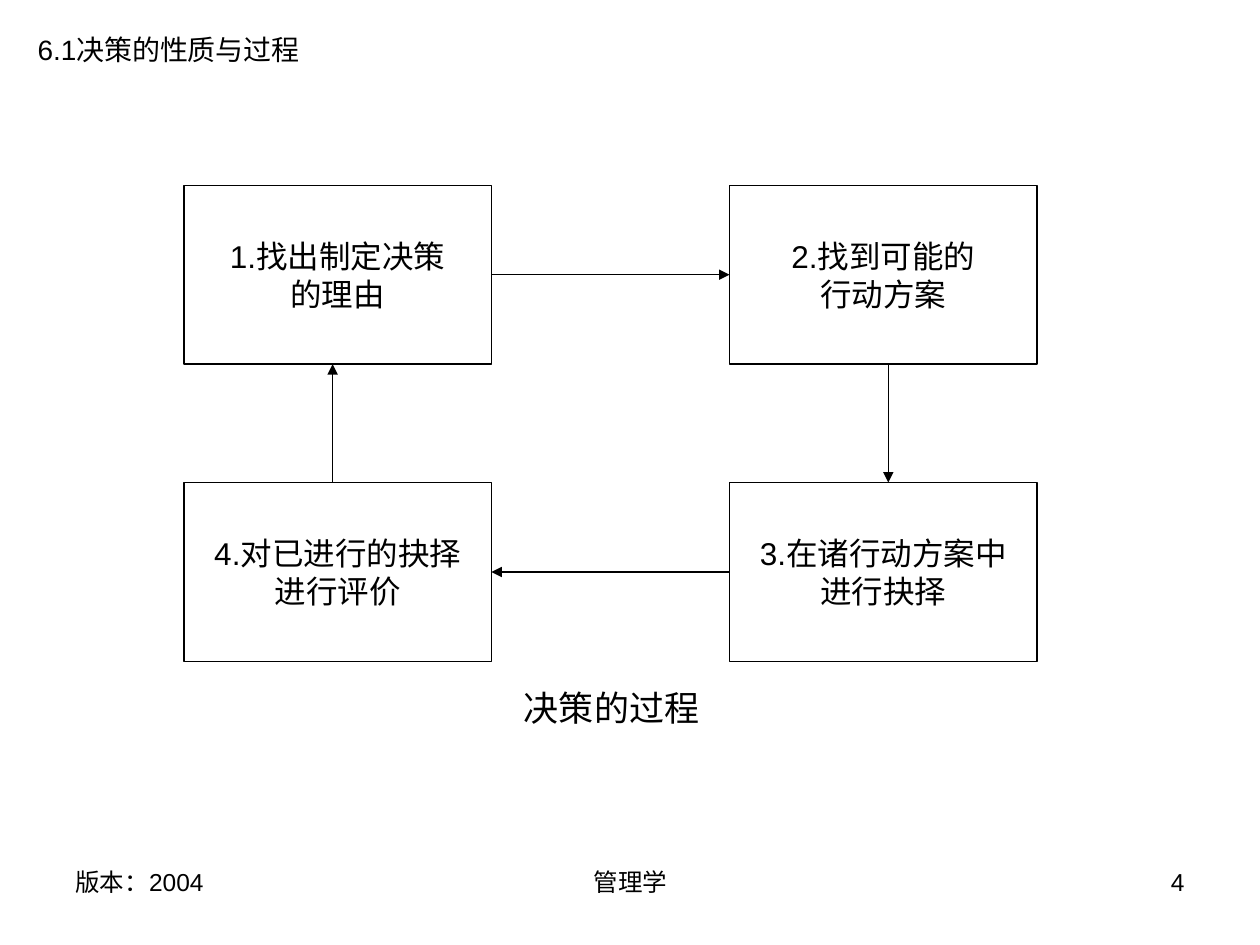
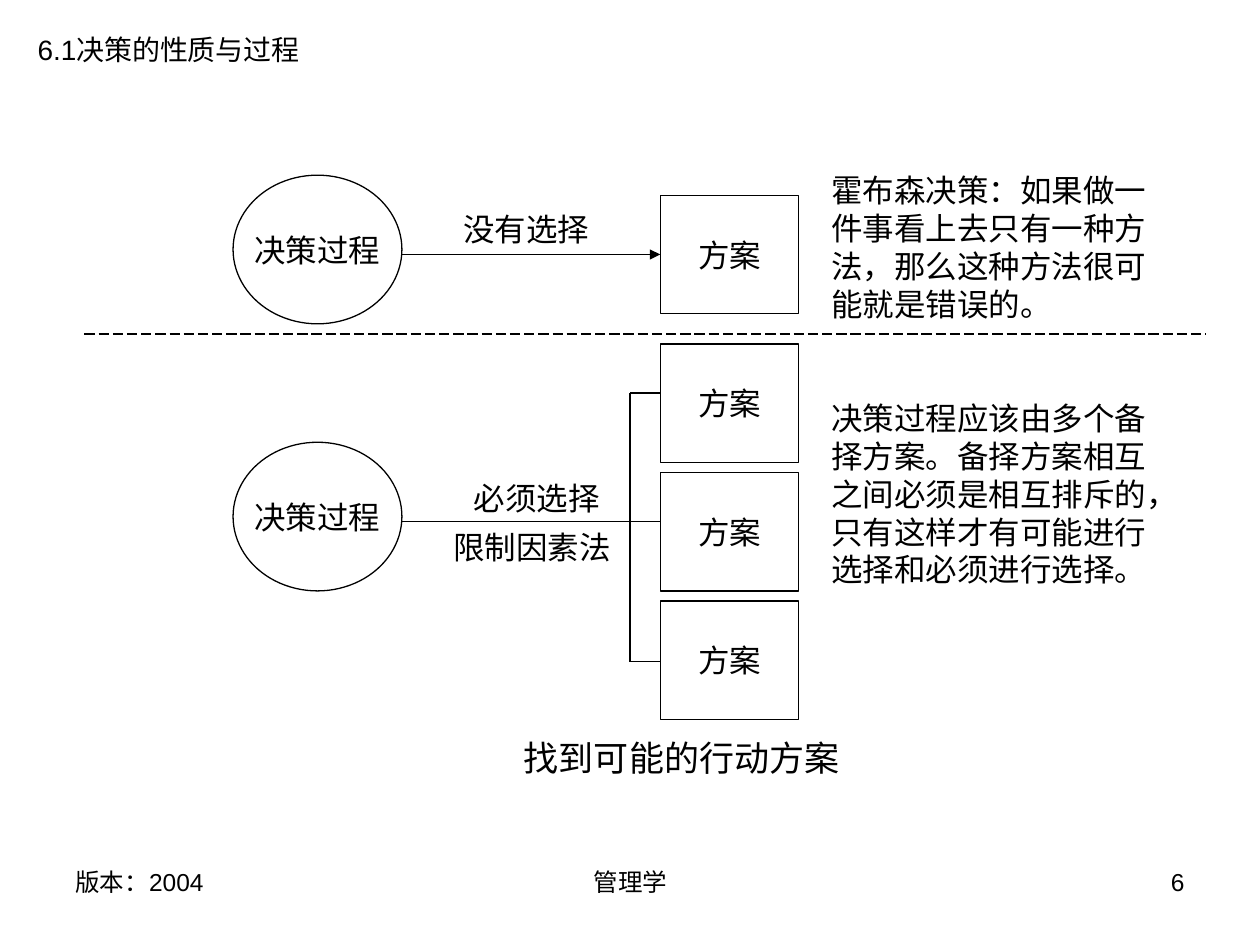
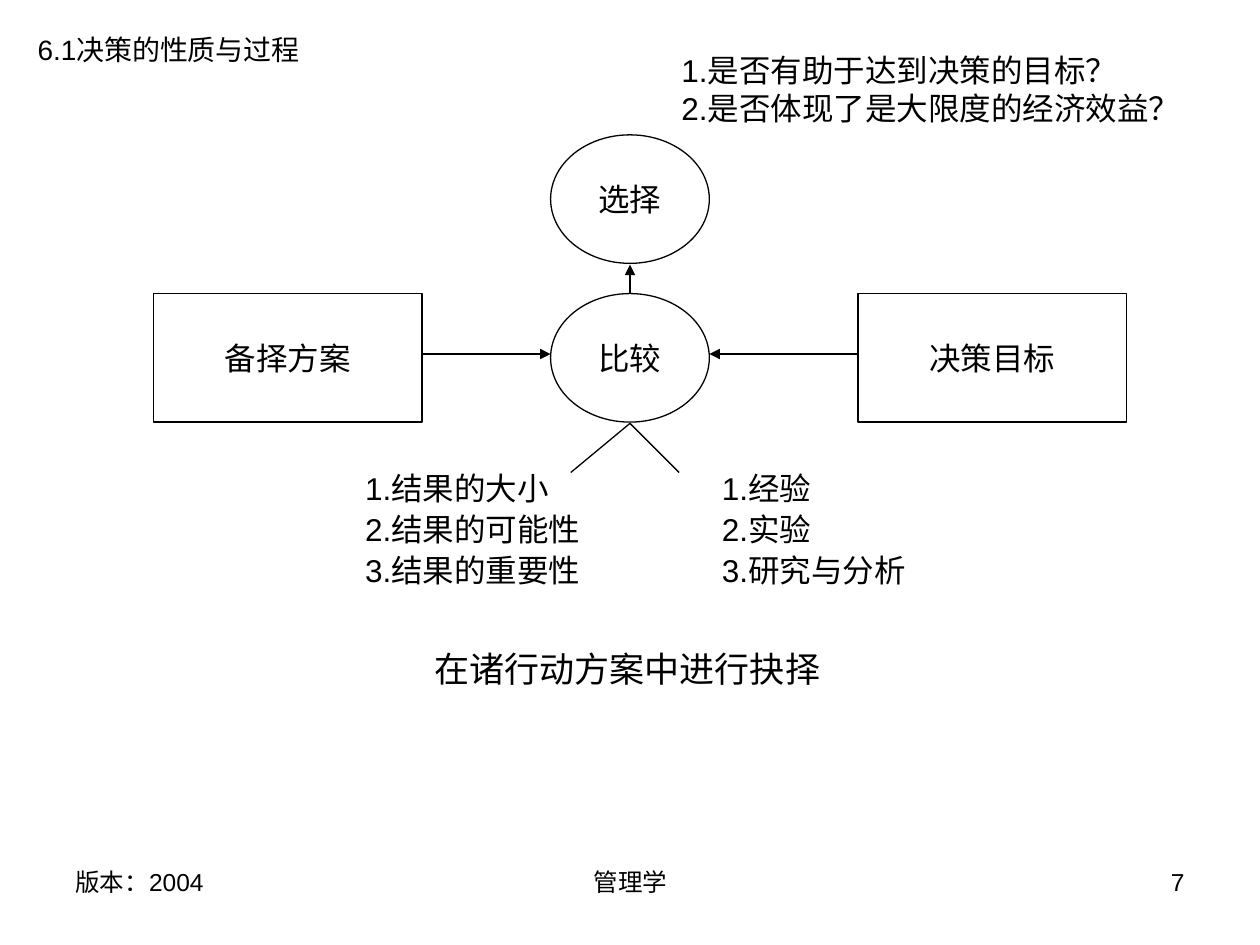
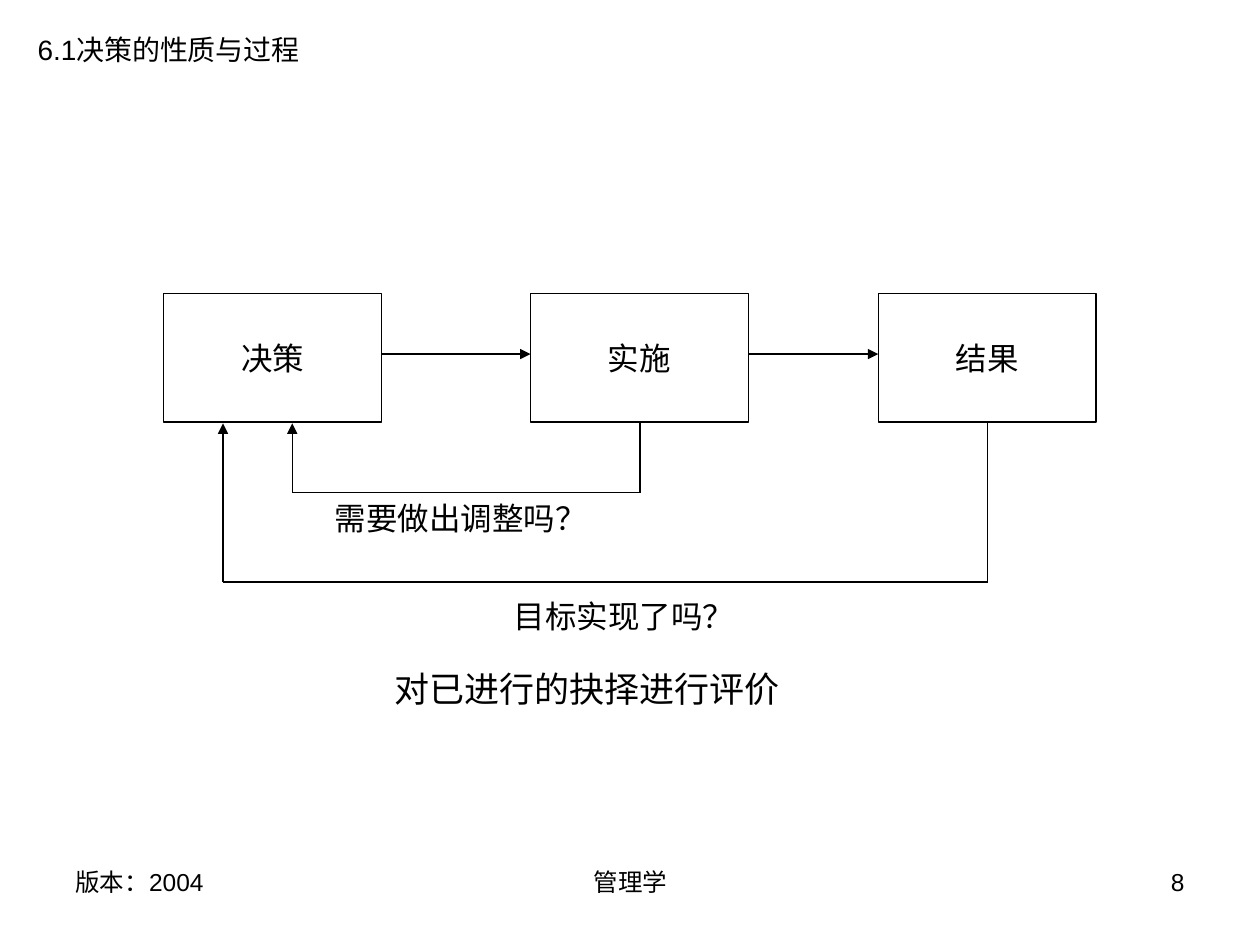
"""Four slides on the nature and process of decision making."""
from lxml import etree
from pptx import Presentation
from pptx import util as u
from pptx.dml.color import RGBColor
from pptx.enum import dml, shapes, text
from pptx.oxml import ns

BLACK = RGBColor(0, 0, 0)
WHITE = RGBColor(255, 255, 255)
FONT = "Arial"
CELL = u.Inches(0.1)  # the grid has 100 columns and 75 rows
LINE_WIDTH = u.Pt(0.75)
BODY, CAPTION, HEADING, FOOTER = 18, 20, 16, 14
RECT, ELLIPSE = shapes.MSO_SHAPE.RECTANGLE, shapes.MSO_SHAPE.OVAL
LEFT, CENTER, RIGHT = text.PP_ALIGN.LEFT, text.PP_ALIGN.CENTER, text.PP_ALIGN.RIGHT


def grid(*cells):
    """Turn columns and rows into lengths."""
    return [round(cell * CELL) for cell in cells]


def write(frame, words, size=BODY, align=LEFT, gap=0):
    """Fill a text frame, one paragraph for each line of words."""
    for index, line in enumerate(words.split("\n")):
        para = frame.add_paragraph() if index else frame.paragraphs[0]
        para.alignment = align
        para.space_before = u.Pt(gap if index else 0)
        span = para.add_run()
        span.text = line
        span.font.name = FONT
        span.font.size = u.Pt(size)
        span.font.color.rgb = BLACK


def label(page, place, words, grow=True, **style):
    """Add a wrapping text box."""
    frame = page.shapes.add_textbox(*grid(*place)).text_frame
    frame.word_wrap = True
    if grow:
        frame.auto_size = text.MSO_AUTO_SIZE.SHAPE_TO_FIT_TEXT
    write(frame, words, **style)


def node(page, place, words, kind=RECT):
    """Add an outlined shape with centred text."""
    box = page.shapes.add_shape(kind, *grid(*place))
    box.shadow.inherit = False
    box.fill.solid()
    box.fill.fore_color.rgb = WHITE
    box.line.color.rgb = BLACK
    box.line.width = LINE_WIDTH
    box.text_frame.word_wrap = False
    box.text_frame.vertical_anchor = text.MSO_ANCHOR.MIDDLE
    write(box.text_frame, words, align=CENTER)


def route(page, *points, arrow=False, dash=None):
    """Join points by straight lines; an arrow ends the last one."""
    for start, end in zip(points, points[1:]):
        line = page.shapes.add_connector(
            shapes.MSO_CONNECTOR.STRAIGHT, *grid(*start, *end))
        line.line.color.rgb = BLACK
        line.line.width = LINE_WIDTH
        if dash:
            line.line.dash_style = dash
        if arrow and end == points[-1]:
            tip = etree.SubElement(line.line._get_or_add_ln(), ns.qn("a:tailEnd"))
            tip.set("type", "triangle")
        etree.SubElement(line._element.spPr, ns.qn("a:effectLst"))


def new_page(deck, number):
    """Add a blank slide with the shared heading and footers."""
    page = deck.slides.add_slide(deck.slide_layouts[6])
    footers = [(5, 23.3, "版本：2004", LEFT),
               (34.2, 31.7, "管理学", CENTER),
               (71.7, 23.3, str(number), RIGHT)]
    for left, width, words, align in footers:
        label(page, (left, 68.3, width, 5.2), words, grow=False,
              size=FOOTER, align=align)
    label(page, (2, 2.1, 23.6, 3.7), "6.1决策的性质与过程", size=HEADING)
    return page


def caption(page, left, top, width, words):
    """Name the diagram below it."""
    label(page, (left, top, width, 4.3), words, size=CAPTION)


def process_cycle(deck):
    """Draw the four steps as a clockwise cycle."""
    page = new_page(deck, 4)
    caption(page, 40.6, 54, 16.5, "决策的过程")
    width, height = 24.4, 14.2
    west, east, north, south = 14.6, 57.9, 14.7, 38.3
    steps = [(west, north, "1.找出制定决策\n的理由"),
             (east, north, "2.找到可能的\n行动方案"),
             (east, south, "3.在诸行动方案中\n进行抉择"),
             (west, south, "4.对已进行的抉择\n进行评价")]
    for left, top, words in steps:
        node(page, (left, top, width, height), words)
    inner, upper = west + width, north + height
    for start, end in [((inner, 21.8), (east, 21.8)),
                       ((70.5, upper), (70.5, south)),
                       ((east, 45.4), (inner, 45.4)),
                       ((26.4, south), (26.4, upper))]:
        route(page, start, end, arrow=True)


def options(deck):
    """Contrast a single option with several."""
    page = new_page(deck, 6)
    caption(page, 40.6, 58, 27.6, "找到可能的行动方案")
    left, height, first, step = 52.4, 9.4, 27.3, 10.2
    for top in (15.5, *(first + row * step for row in range(3))):
        node(page, (left, top, 11, height), "方案")
    for top in (13.9, 35.1):
        node(page, (18.5, top, 13.4, 11.8), "决策过程", kind=ELLIPSE)
    route(page, (31.9, 20.2), (left, 20.2), arrow=True)
    route(page, (31.9, 41.4), (left, 41.4))
    route(page, (left, 31.2), (50, 31.2), (50, 52.5), (left, 52.5))
    route(page, (6.7, 26.5), (95.7, 26.5), dash=dml.MSO_LINE.LONG_DASH)
    label(page, (35.8, 16.2, 12.6, 4), "没有选择")
    label(page, (36.6, 37.5, 14.2, 4), "必须选择")
    label(page, (35, 41.4, 15, 4), "限制因素法")
    label(page, (65, 13.1, 29.1, 13),
          "霍布森决策：如果做一件事看上去只有一种方法，那么这种方法很可能就是错误的。")
    label(page, (65, 31.2, 29.1, 19),
          "决策过程应该由多个备择方案。备择方案相互之间必须是相互排斥的，"
          "只有这样才有可能进行选择和必须进行选择。")


def choice(deck):
    """Show how comparing options with goals leads to a choice."""
    page = new_page(deck, 7)
    caption(page, 33.5, 50.9, 33.9, "在诸行动方案中进行抉择")
    top, height = 23.3, 10.2
    for left, words in [(12.2, "备择方案"), (68.1, "决策目标")]:
        node(page, (left, top, 21.3, height), words)
    for row, words in [(top, "比较"), (10.7, "选择")]:
        node(page, (43.7, row, 12.6, height), words, kind=ELLIPSE)
    for start, end in [((33.5, 28.1), (43.7, 28.1)),
                       ((68.1, 28.1), (56.3, 28.1)),
                       ((50, top), (50, 21))]:
        route(page, start, end, arrow=True)
    route(page, (45.3, 37.5), (50, 33.6), (53.9, 37.5))
    label(page, (28, 36.7, 21.3, 10.6),
          "1.结果的大小\n2.结果的可能性\n3.结果的重要性", gap=1.8)
    label(page, (56.3, 36.7, 18.9, 10.6), "1.经验\n2.实验\n3.研究与分析", gap=1.8)
    label(page, (53.1, 3.6, 42.5, 7),
          "1.是否有助于达到决策的目标？\n2.是否体现了是大限度的经济效益？")


def evaluation(deck):
    """Show the feedback from action and result to decision."""
    page = new_page(deck, 8)
    caption(page, 30.3, 52.5, 33.9, "对已进行的抉择进行评价")
    width, bottom = 17.3, 33.6
    lefts = (13, 42.1, 69.7)
    for left, words in zip(lefts, ("决策", "实施", "结果")):
        node(page, (left, 23.3, width, 10.2), words)
    for left, right in zip(lefts, lefts[1:]):
        route(page, (left + width, 28.1), (right, 28.1), arrow=True)
    for start, end, depth in [(50.8, 23.2, 39.1), (78.4, 17.7, 46.2)]:
        route(page, (start, bottom), (start, depth), (end, depth), (end, bottom),
              arrow=True)
    label(page, (25.6, 39.1, 22, 4), "需要做出调整吗？")
    label(page, (39.8, 46.9, 19.7, 4), "目标实现了吗？")


def main():
    """Build and save the deck."""
    deck = Presentation()
    deck.slide_width, deck.slide_height = grid(100, 75)
    for build in (process_cycle, options, choice, evaluation):
        build(deck)
    deck.save("out.pptx")


main()
